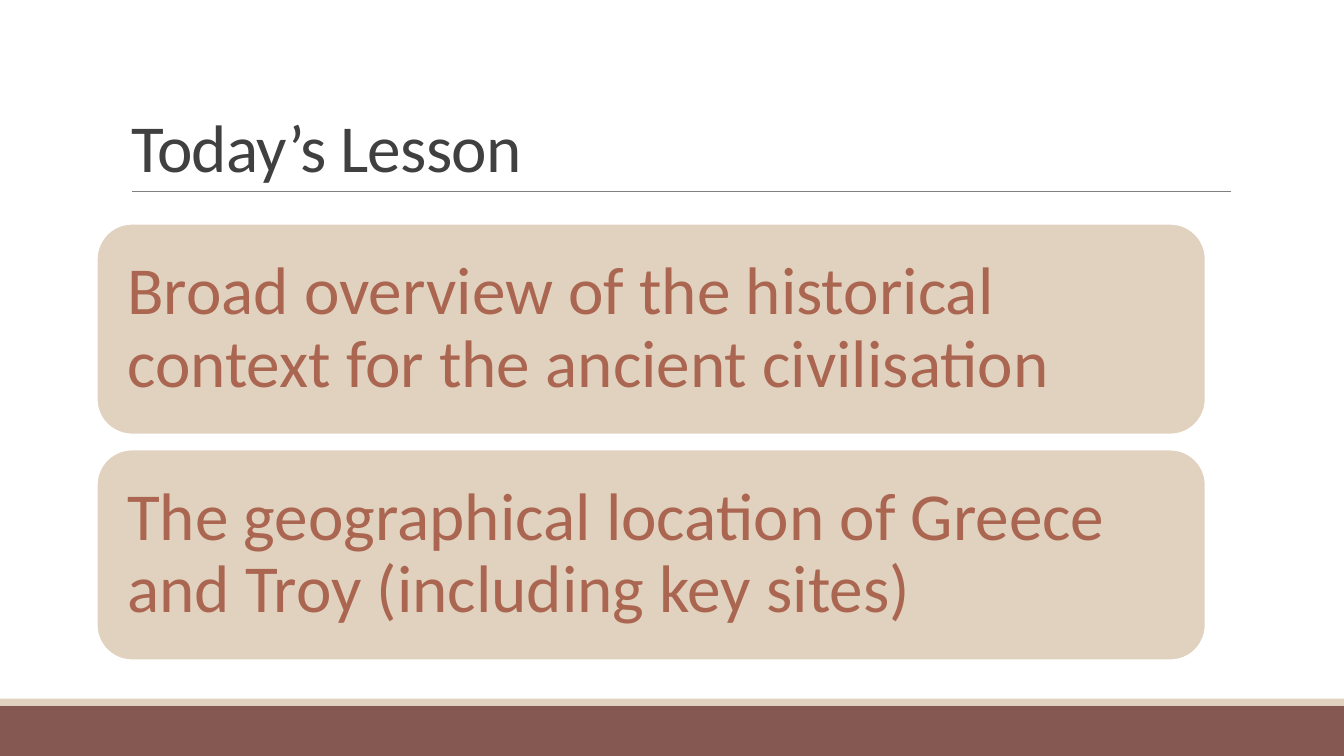
import pptx
import pptx.dml.color
import pptx.enum.shapes
import pptx.enum.text
import pptx.oxml.ns
import pptx.util
from lxml import etree

COLORS = {
    "maroon": "865852",
    "sand": "E1D2BF",
    "rule": "808080",
    "title": "404040",
    "rust": "AA6650",
    "white": "FFFFFF",
}
SHAPE = pptx.enum.shapes.MSO_SHAPE
ANCHOR = pptx.enum.text.MSO_ANCHOR
TOPICS = [
    "Broad overview of the historical context for the ancient civilisation",
    "The geographical location of Greece and Troy (including key sites)",
]


def rgb(name):
    return pptx.dml.color.RGBColor.from_string(COLORS[name])


def write(sp, text, color, size=48, spacing=0.9, tracking=None, inset=0.1,
          anchor=ANCHOR.MIDDLE):
    """Fill a shape with one left-aligned paragraph; tracking is in points."""
    tf = sp.text_frame
    tf.word_wrap = True
    tf.auto_size = pptx.enum.text.MSO_AUTO_SIZE.NONE
    tf.vertical_anchor = anchor
    tf.margin_left = tf.margin_right = pptx.util.Inches(inset)
    tf.margin_top = tf.margin_bottom = pptx.util.Inches(max(inset, 0.05) if inset > 0.1 else 0.05)
    p = tf.paragraphs[0]
    p.alignment = pptx.enum.text.PP_ALIGN.LEFT
    p.line_spacing = spacing
    r = p.add_run()
    r.text = text
    r.font.name = "Calibri"
    r.font.size = pptx.util.Pt(size)
    r.font.color.rgb = rgb(color)
    if tracking is not None:
        r.font._element.set("spc", str(round(tracking * 100)))


class Deck:
    """Style and current slide; lengths are percentages of the slide's size."""

    def __init__(self, width, height):
        self.prs = pptx.Presentation()
        self.prs.slide_width = pptx.util.Inches(width)
        self.prs.slide_height = pptx.util.Inches(height)
        self.slide = self.prs.slides.add_slide(self.prs.slide_layouts[5])

    def x(self, share):
        return round(self.prs.slide_width * share / 100)

    def y(self, share):
        return round(self.prs.slide_height * share / 100)

    def box(self, left, top, width, height):
        return self.x(left), self.y(top), self.x(width), self.y(height)

    def title(self, text, *area):
        sp = self.slide.shapes.title
        sp.left, sp.top, sp.width, sp.height = self.box(*area)
        write(sp, text, "title", spacing=0.85, tracking=-0.5, anchor=ANCHOR.BOTTOM)

    def shape(self, kind, fill, *area, outline=None):
        sp = self.slide.shapes.add_shape(kind, *self.box(*area))
        sp.shadow.inherit = False
        sp.fill.solid()
        sp.fill.fore_color.rgb = rgb(fill)
        if outline:
            sp.line.color.rgb = rgb(outline)
            sp.line.width = pptx.util.Pt(1.25)
        else:
            sp.line.fill.background()
        return sp

    def rule(self, left, right, top):
        line = self.slide.shapes.add_connector(
            pptx.enum.shapes.MSO_CONNECTOR.STRAIGHT,
            self.x(left), self.y(top), self.x(right), self.y(top))
        line.line.color.rgb = rgb("rule")
        line.line.width = pptx.util.Pt(0.5)
        etree.SubElement(line._element.spPr, pptx.oxml.ns.qn("a:effectLst"))

    def card(self, text, *area):
        sp = self.shape(SHAPE.ROUNDED_RECTANGLE, "sand", *area, outline="white")
        write(sp, text, "rust", inset=0.2)


def main():
    deck = Deck(13.33, 7.5)
    deck.shape(SHAPE.RECTANGLE, "maroon", 0, 93.33, 100, 6.67)
    deck.shape(SHAPE.RECTANGLE, "sand", 0, 92.4, 100, 0.93)
    deck.rule(9.83, 91.6, 25.33)
    deck.title("Today’s Lesson", 9, 4.13, 82.5, 21.2)
    for i, topic in enumerate(TOPICS):
        deck.card(topic, 7.2, 29.6 + i * 29.87, 82.5, 27.87)
    deck.prs.save("out.pptx")


if __name__ == "__main__":
    main()
